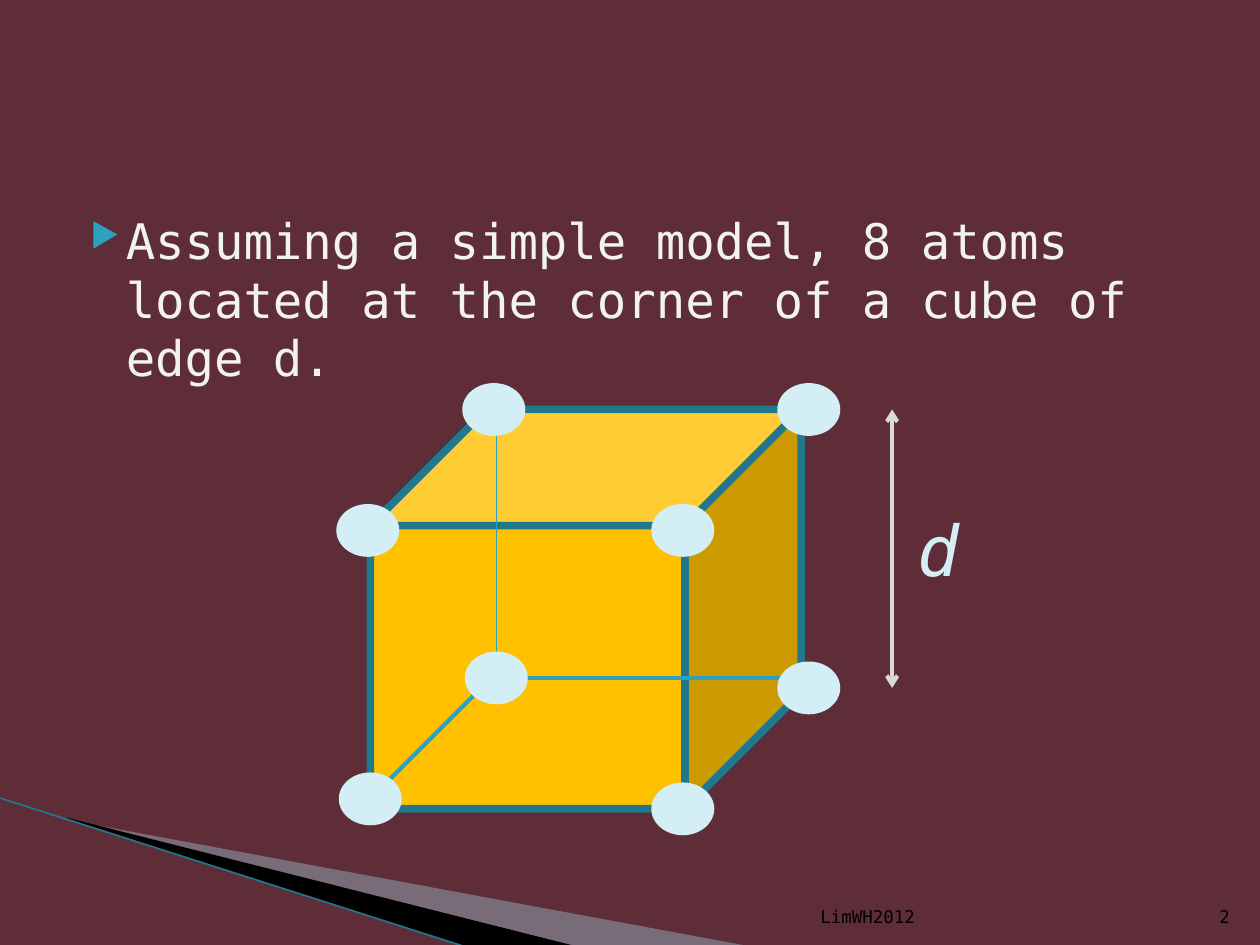
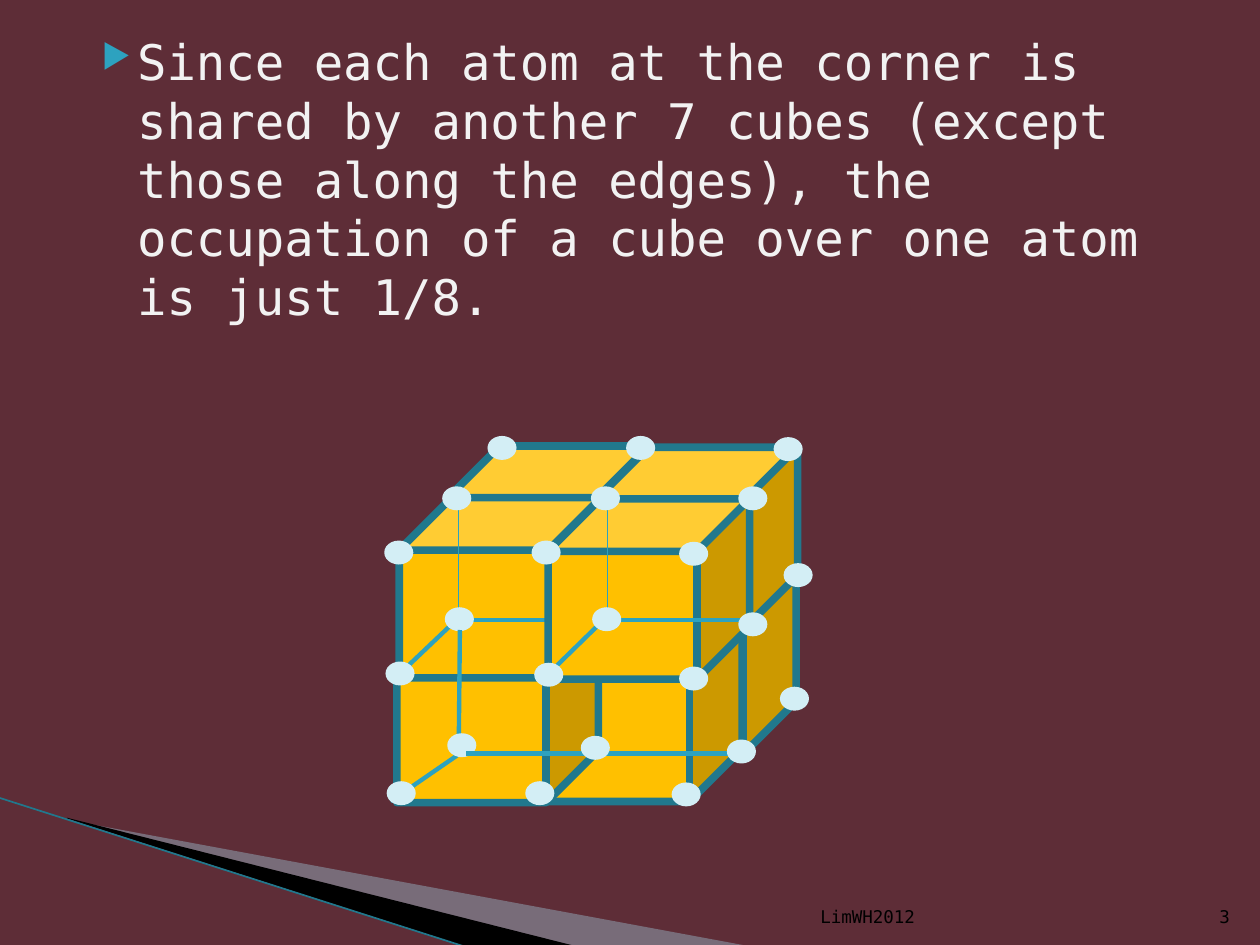
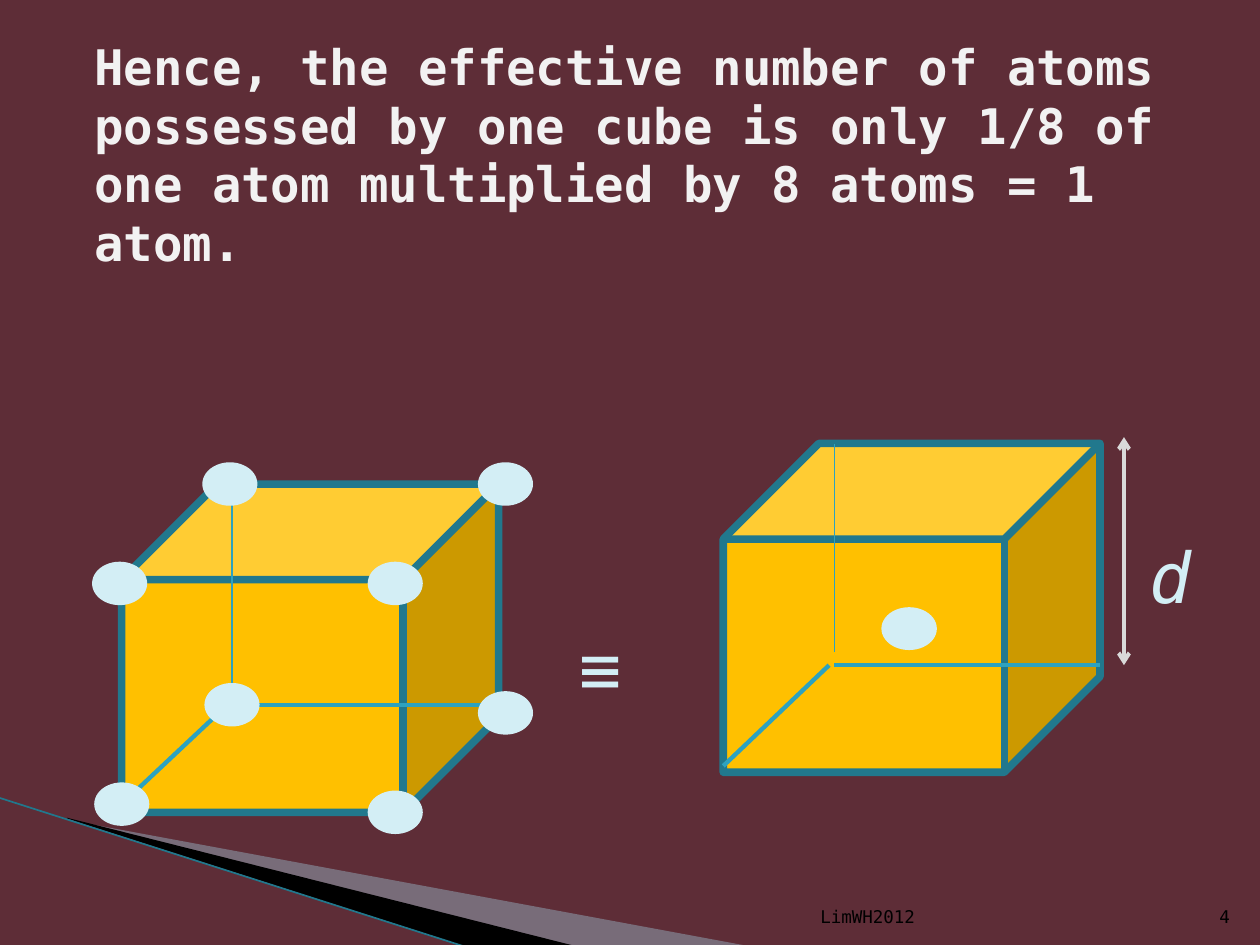
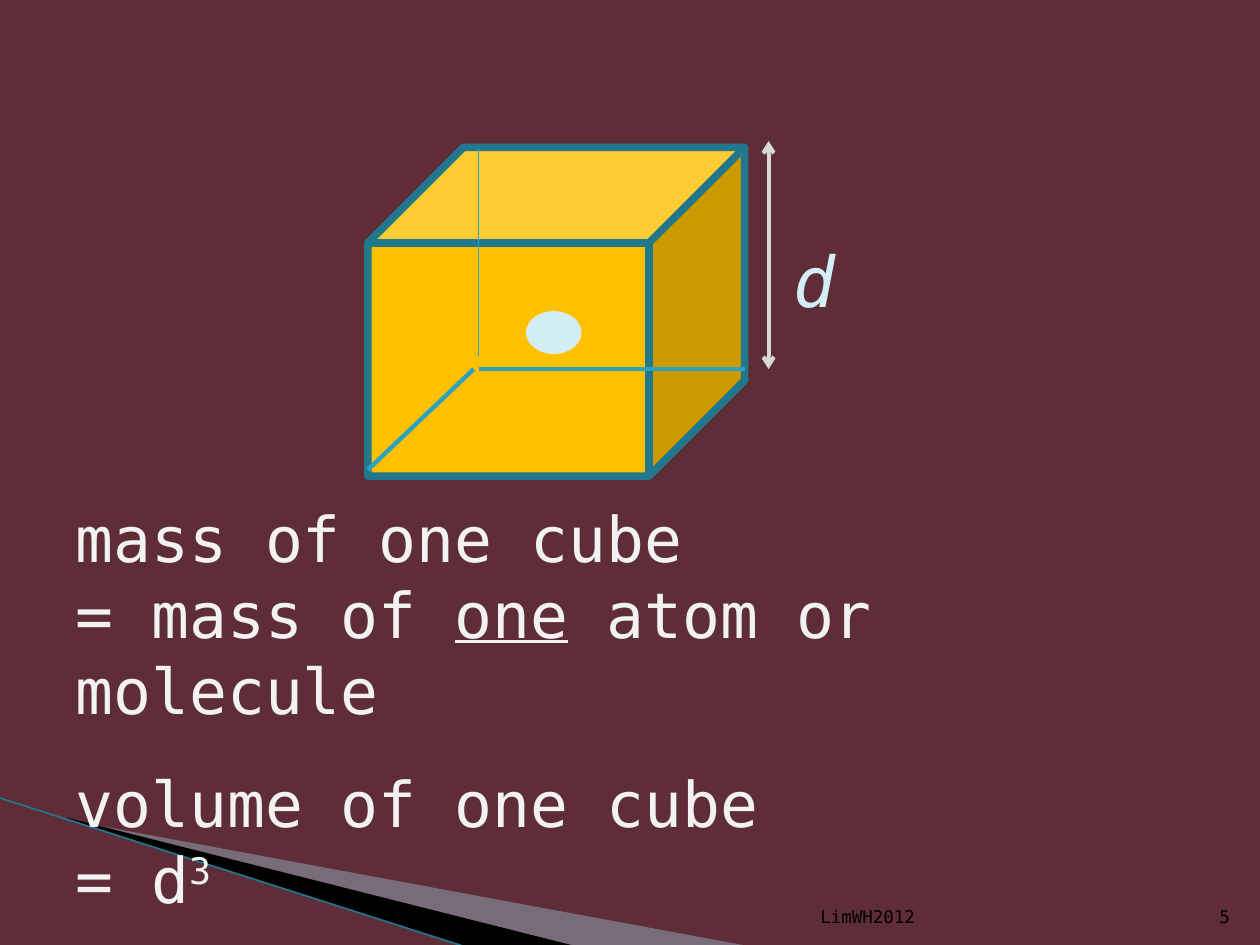
from lxml import etree
from pptx import Presentation
from pptx import util as u
from pptx.dml.color import RGBColor
from pptx.enum import shapes, text
from pptx.oxml import ns

Pt = u.Pt

# Colours
WINE = RGBColor(0x5E, 0x2D, 0x37)
BLACK = RGBColor(0, 0, 0)
MIST = RGBColor(0xA0, 0xCB, 0xDC)
GOLD = RGBColor(0xFF, 0xC0, 0x00)
TEAL = RGBColor(0x21, 0x78, 0x8D)
CYAN = RGBColor(0x2D, 0xA2, 0xBF)
ICE = RGBColor(0xD3, 0xEE, 0xF5)
SILVER = RGBColor(0xD9, 0xD9, 0xD9)
WHITE = RGBColor(0xF2, 0xF2, 0xF2)

# Text formats
FONT = "DejaVu Sans Mono"
BODY = {"size": Pt(28), "color": WHITE}
TITLE = {"size": Pt(28), "color": WHITE, "bold": True}
FORMULA = {"size": Pt(36), "color": WHITE}
SYMBOL = {"size": Pt(40), "color": ICE}
FOOTER = {"size": Pt(10), "color": BLACK}

THIN, THICK = 0.75, 2.5


def child(parent, tag, **attrs):
    return etree.SubElement(parent, ns.qn(tag), attrs)


# Text
def add_run(p, words, fmt):
    r = p.add_run()
    r.text = words
    r.font.name = FONT
    for name, value in fmt.items():
        if name == "color":
            r.font.color.rgb = value
        else:
            setattr(r.font, name, value)
    return r


def add_text(s, box, words, fmt, wrap=True, align=None, **frame):
    sp = s.shapes.add_textbox(*map(Pt, box))
    tf = sp.text_frame
    tf.word_wrap = wrap
    for name, value in frame.items():
        setattr(tf, name, value)
    p = tf.paragraphs[0]
    p.alignment = align
    if words:
        add_run(p, words, fmt)
    return tf


def add_bullet_text(s, box, words):
    p = add_text(s, box, words, BODY).paragraphs[0]
    p.space_before = Pt(4)
    pPr = p._p.get_or_add_pPr()
    pPr.set("marL", str(Pt(28.8)))
    pPr.set("indent", str(Pt(-20.2)))
    child(child(pPr, "a:buClr"), "a:srgbClr", val=str(CYAN))
    child(pPr, "a:buSzPct", val="68000")
    child(pPr, "a:buChar", char="▶")


# Lines and shapes
def add_line(s, x1, y1, x2, y2, color=CYAN, width=THICK, arrows=False):
    c = s.shapes.add_connector(shapes.MSO_CONNECTOR.STRAIGHT, *map(Pt, (x1, y1, x2, y2)))
    c.line.color.rgb = color
    c.line.width = Pt(width)
    spPr = c._element.spPr
    if arrows:
        for end in ("a:headEnd", "a:tailEnd"):
            child(spPr.find(ns.qn("a:ln")), end, type="arrow")
    child(spPr, "a:effectLst")


def paint(sp, fill, line=None):
    sp.shadow.inherit = False
    sp.fill.solid()
    sp.fill.fore_color.rgb = fill
    if line:
        sp.line.color.rgb = line
        sp.line.width = Pt(4.33)
    else:
        sp.line.fill.background()


def add_cube(s, x, y, w, h):
    sp = s.shapes.add_shape(shapes.MSO_SHAPE.CUBE, *map(Pt, (x, y, w, h)))
    sp.adjustments[0] = 0.291
    paint(sp, GOLD, TEAL)


def add_atom(s, x, y, w, h):
    paint(s.shapes.add_shape(shapes.MSO_SHAPE.OVAL, *map(Pt, (x, y, w, h))), ICE)


def add_wedge(s, points, fill, alpha=None):
    points = [(Pt(x), Pt(y)) for x, y in points]
    builder = s.shapes.build_freeform(*points[0])
    builder.add_line_segments(points[1:], close=True)
    sp = builder.convert_to_shape()
    paint(sp, fill)
    if alpha:
        color = sp._element.spPr.find(".//" + ns.qn("a:srgbClr"))
        child(color, "a:alpha", val=str(alpha * 1000))


# Figures
def add_edge_label(s, x, top, bottom):
    """Double arrow with the edge length d beside it."""
    add_line(s, x, top, x, bottom, SILVER, 2.25, arrows=True)
    add_text(s, (x + 7.2, top + 51.8, 35.3, 55.4), "d", {**SYMBOL, "italic": True}, wrap=False)


def add_corner_cube(s, left, top, kx=1, ky=1):
    """Cube with an atom on each corner, scaled by kx and ky."""
    def place(x, y):
        return left + x * kx, top + y * ky

    def atoms(*spots):
        for spot in spots:
            add_atom(s, *place(*spot), 36 * kx, 30.2 * ky)

    add_cube(s, *place(19.4, 15.1), 246.2 * kx, 228.2 * ky)
    atoms((0, 69.1), (180, 69.1), (252, 0), (180, 228.2))
    add_line(s, *place(91.4, 15.1), *place(91.4, 159.1), width=THIN)
    add_line(s, *place(19.4, 237.6), *place(82.8, 174.2))
    add_line(s, *place(103, 168.5), *place(265.7, 168.5))
    atoms((252, 159.1), (73.4, 153.4), (72, 0), (1.4, 222.5))


def add_centre_cube(s, x, y):
    """Cube with one atom inside and its edge length."""
    add_cube(s, x, y, 215.3, 187.9)
    add_atom(s, x + 90.4, y + 93.6, 31.7, 24.5)
    add_line(s, x + 63.4, y + 0.4, x + 63.4, y + 119.2, width=THIN)
    add_line(s, x, y + 184.3, x + 60.5, y + 126.7)
    add_line(s, x + 63.4, y + 126.7, x + 215.3, y + 126.7)
    add_edge_label(s, x + 229, y - 3.6, y + 126.7)


# Stacked cubes, from back to front: cubes, hidden edges, atoms
STACK = [
    ([(339.8, 327.6), (308.9, 355), (226.8, 355.7), (255.6, 254.9), (340.6, 255.6),
      (228.2, 284.4)],
     [(269.3, 354.2, 337.7, 354.2), (262.1, 285.1, 262.1, 349.9),
      (228.2, 385.2, 258.5, 356.4)],
     [(219.6, 308.9), (254.2, 347), (252.7, 277.9), (220.3, 378)]),
    ([(313.2, 285.1)],
     [(347, 285.1, 347, 349.9), (313.2, 385.2, 342.7, 356.4), (352.1, 354.2, 428.4, 354.2),
      (223.2, 457.9, 262.8, 430.6), (262.1, 430.6, 262.8, 360)],
     [(303.8, 308.9), (388.1, 309.6), (421.9, 277.9), (388.1, 380.9), (421.9, 349.9),
      (338.4, 347), (337.7, 277.9), (305.3, 378.7), (447.8, 321.8), (442.1, 249.8),
      (278.6, 249.1), (357.8, 249.1), (383.8, 447.1), (221, 446.4), (300.2, 446.4),
      (445.7, 392.4), (255.6, 419)]),
    ([], [(266.4, 430.6, 426.2, 430.6)], [(331.9, 420.5), (415.4, 422.6)]),
]


def add_cube_stack(s):
    for cubes, edges, atoms in STACK:
        for spot in cubes:
            add_cube(s, *spot, 115.2, 103)
        for edge in edges:
            upright = edge[0] == edge[2]
            add_line(s, *edge, width=THIN if upright else THICK)
        for spot in atoms:
            add_atom(s, *spot, 16.6, 13.7)


# Shared slide frame
def new_slide(prs, number):
    s = prs.slides.add_slide(prs.slide_layouts[6])
    s.background.fill.solid()
    s.background.fill.fore_color.rgb = WINE
    add_wedge(s, [(39.6, 468.7), (428.4, 540.7), (328.3, 540.7), (39.6, 468)], MIST, alpha=40)
    add_wedge(s, [(38.2, 467.3), (329, 540.7), (267.8, 541.4), (38.9, 468)], BLACK)
    add_line(s, -0.7, 455.8, 267.1, 541.4, TEAL, 0.95)
    for x, w, words in ((344.9, 185, "LimWH2012"), (681.1, 28.8, str(number))):
        add_text(s, (x, 504.7, w, 28.8), words, FOOTER, align=text.PP_ALIGN.RIGHT,
                 vertical_anchor=text.MSO_ANCHOR.BOTTOM)
    return s


# Slides
def model_slide(s):
    add_bullet_text(s, (36, 116.6, 648, 345.6),
                    "Assuming a simple model, 8 atoms located at the corner of a cube of edge d.")
    add_corner_cube(s, 192.2, 218.9)
    add_edge_label(s, 509.8, 234, 393.1)


def sharing_slide(s):
    add_bullet_text(s, (42.5, 14.4, 648, 356.4),
                    "Since each atom at the corner is shared by another 7 cubes (except those "
                    "along the edges), the occupation of a cube over one atom is just 1/8.")
    add_cube_stack(s)


def equivalence_slide(s):
    add_text(s, (46.8, 59.8, 648, 90),
             "Hence, the effective number of atoms possessed by one cube is only 1/8 of one "
             "atom multiplied by 8 atoms = 1 atom.", TITLE,
             vertical_anchor=text.MSO_ANCHOR.MIDDLE, margin_bottom=Pt(37.2))
    add_corner_cube(s, 52.6, 264.2, 0.875, 0.822)
    add_text(s, (324, 353.3, 46.8, 55.4), "≡", SYMBOL)
    add_centre_cube(s, 413.3, 253.4)


def formula_slide(s):
    add_centre_cube(s, 210.2, 84.2)
    tf = add_text(s, (36, 282.2, 651.6, 203.8), "mass of one cube", FORMULA)
    p = tf.add_paragraph()
    add_run(p, "= mass of ", FORMULA)
    add_run(p, "one", {**FORMULA, "underline": True})
    add_run(p, " atom or molecule", FORMULA)
    p = tf.add_paragraph()
    p.line_spacing = 1.5
    add_run(p, "volume of one cube", FORMULA)
    p = tf.add_paragraph()
    add_run(p, "= d", FORMULA)
    r = add_run(p, "3", FORMULA)
    r._r.get_or_add_rPr().set("baseline", "30000")


def main():
    prs = Presentation()
    prs.slide_width, prs.slide_height = Pt(720), Pt(540)
    builders = (model_slide, sharing_slide, equivalence_slide, formula_slide)
    for number, build in enumerate(builders, start=2):
        build(new_slide(prs, number))
    prs.save("out.pptx")


if __name__ == "__main__":
    main()
